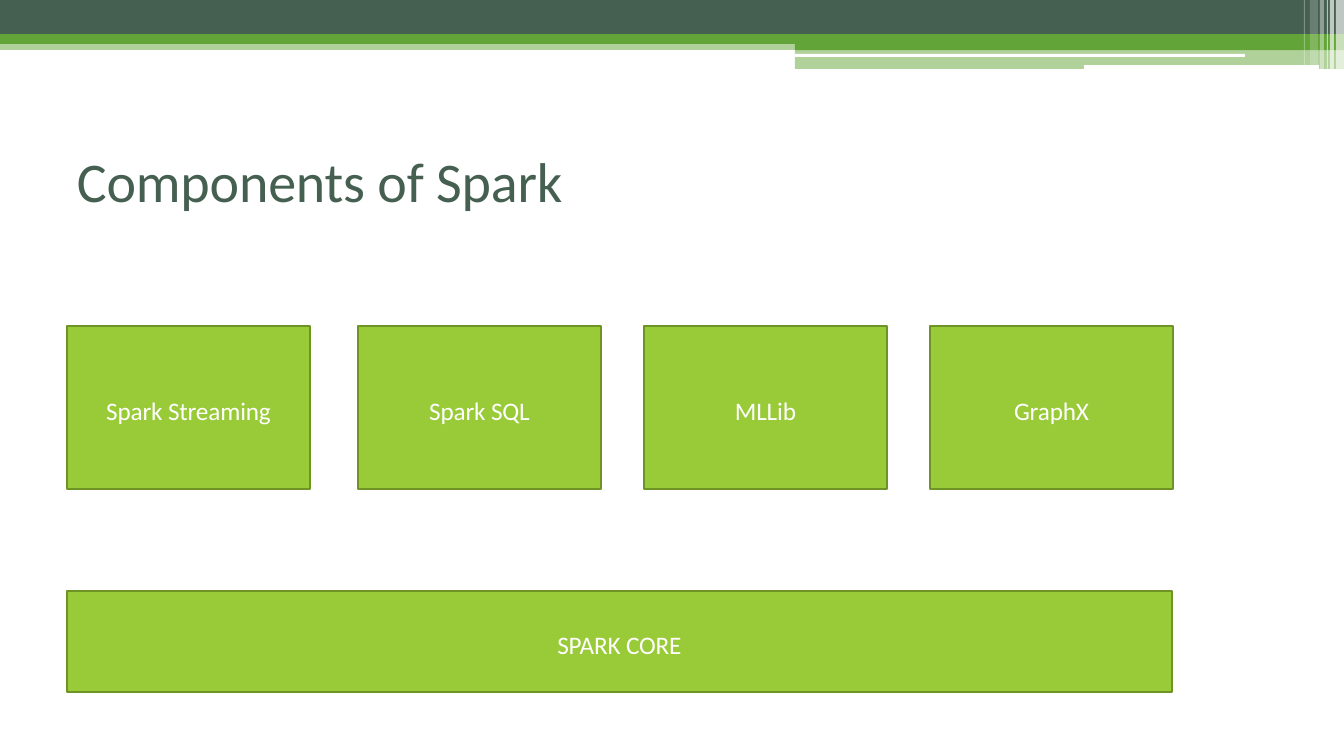
from dataclasses import dataclass

from lxml.etree import SubElement as Sub
from pptx import Presentation
from pptx.dml.color import RGBColor as Rgb
from pptx.enum.shapes import MSO_SHAPE as Kind
from pptx.enum.text import MSO_ANCHOR as Anchor, PP_ALIGN as Align
from pptx.oxml.ns import qn
from pptx.util import Pt

SCALE = 914400 / 100.8


@dataclass(frozen=True)
class Theme:
    dark: str = "455F51"
    green: str = "62A437"
    lime: str = "99CA38"
    edge: str = "6E9425"
    white: str = "FFFFFF"
    face: str = "Calibri"
    head: int = 40
    body: int = 18
    track: int = -10


LOOK = Theme()


def px(num):
    return round(num * SCALE)


def paint(shape, color, alpha=100):
    shape.shadow.inherit = False
    shape.fill.solid()
    shape.fill.fore_color.rgb = Rgb.from_string(color)
    shape.line.fill.background()
    if alpha < 100:
        tone = shape.fill._xPr.find(".//" + qn("a:srgbClr"))
        Sub(tone, qn("a:alpha")).set("val", str(alpha * 1000))


def block(slide, box, color, alpha=100):
    shape = slide.shapes.add_shape(Kind.RECTANGLE, *map(px, box))
    paint(shape, color, alpha)
    return shape


def write(shape, text, size, color, align, frame):
    body = shape.text_frame
    for key, val in frame.items():
        setattr(body, key, val)
    para = body.paragraphs[0]
    para.alignment = align
    run = para.add_run()
    run.text = text
    style = {"name": LOOK.face, "size": Pt(size), "bold": False}
    for key, val in style.items():
        setattr(run.font, key, val)
    run.font.color.rgb = Rgb.from_string(color)
    run._r.get_or_add_rPr().set("spc", str(LOOK.track))


def banner(slide, box):
    left, top, wide, _ = box
    mid = 795  # where the bars step down

    # Stepped green bar
    pts = [(0, 34), (wide, 34), (wide, 50), (mid, 50), (mid, 44), (0, 44)]
    pts = [(left + x, top + y) for x, y in pts]
    path = slide.shapes.build_freeform(*pts[0], scale=SCALE)
    path.add_line_segments(pts[1:])
    paint(path.convert_to_shape(), LOOK.green)

    # Flat bars, white rules and pale stripes at the right edge
    bars = [
        (0, 0, wide, 34, LOOK.dark, 100),
        (0, 44, mid, 6, LOOK.green, 50),
        (mid, 50, wide - mid, 19, LOOK.green, 50),
        (mid, 54, 450, 3, LOOK.white, 100),
        (1084, 65, 235, 4, LOOK.white, 100),
        (1330, 0, 4, 69, LOOK.white, 65),
        (1336, 0, 8, 69, LOOK.white, 65),
        (1327, 0, 1, 69, LOOK.white, 60),
        (1320, 0, 4, 69, LOOK.white, 40),
        (1310, 0, 8, 65, LOOK.white, 20),
        (1304, 0, 1, 65, LOOK.white, 30),
    ]
    for x, y, w, h, color, alpha in bars:
        block(slide, (left + x, top + y, w, h), color, alpha)


def heading(slide, box, text):
    title = slide.shapes.title
    for key, val in zip(("left", "top", "width", "height"), box):
        setattr(title, key, px(val))
    frame = {"margin_left": px(1), "margin_right": 0, "margin_top": px(1),
             "margin_bottom": 0, "word_wrap": True,
             "vertical_anchor": Anchor.TOP}
    write(title, text, LOOK.head, LOOK.dark, Align.LEFT, frame)


def card(slide, box, text):
    shape = block(slide, box, LOOK.lime)
    shape.line.color.rgb = Rgb.from_string(LOOK.edge)
    shape.line.width = Pt(1)
    frame = {"margin_left": 0, "margin_right": 0, "margin_top": px(5),
             "margin_bottom": 0, "word_wrap": True,
             "vertical_anchor": Anchor.MIDDLE}
    write(shape, text, LOOK.body, LOOK.white, Align.CENTER, frame)


def stack(slide, box):
    left, top, wide, high = box
    # Libraries on top
    parts = {"Spark Streaming": 0, "Spark SQL": 291,
             "MLLib": 577, "GraphX": 863}
    for name, x in parts.items():
        card(slide, (left + x, top, 243, 163), name)
    # Core along the bottom
    base = 101
    card(slide, (left, top + high - base, wide, base), "SPARK CORE")


def main():
    deck = Presentation()
    deck.slide_width, deck.slide_height = px(1344), px(756)
    slide = deck.slides.add_slide(deck.slide_layouts[5])
    banner(slide, (0, 0, 1344, 69))
    heading(slide, (76, 146, 491, 70), "Components of Spark")
    stack(slide, (67, 326, 1105, 366))
    deck.save("out.pptx")


if __name__ == "__main__":
    main()
